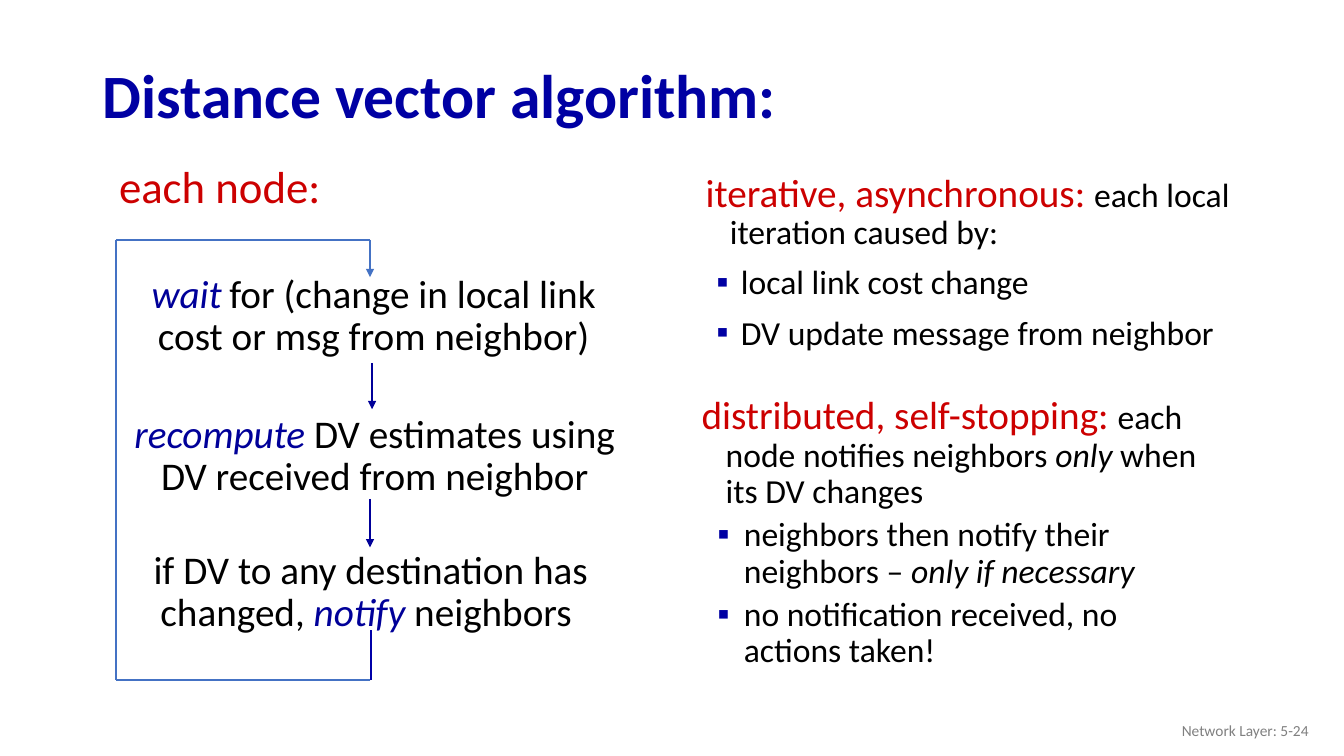
import dataclasses

import lxml.etree
import pptx
import pptx.dml.color
import pptx.enum.shapes
import pptx.enum.text
import pptx.oxml.ns
import pptx.util

PX = 9144  # 100 px to the inch
ALIGN = pptx.enum.text.PP_ALIGN
ANCHOR = pptx.enum.text.MSO_ANCHOR


@dataclasses.dataclass(frozen=True)
class Theme:
    font: str = "Calibri"
    title: str = "0000A3"
    heading: str = "CC0000"
    body: str = "000000"
    keyword: str = "000099"
    bullet: str = "0000A3"
    loop: str = "4472C4"
    loop_exit: str = "0000A8"
    footer: str = "808080"
    title_size: int = 44
    label_size: int = 32
    large_size: int = 28
    body_size: int = 24
    footer_size: int = 11
    line_width: float = 1.5


THEME = Theme()


def px(length):
    return pptx.util.Emu(length * PX)


def rgb(colour):
    return pptx.dml.color.RGBColor.from_string(colour)


def add_child(parent, tag, **attributes):
    child = lxml.etree.SubElement(parent, pptx.oxml.ns.qn(tag))
    for key, value in attributes.items():
        child.set(key, value)
    return child


def add_text_frame(slide, box, anchor=ANCHOR.TOP, wrap=True):
    frame = slide.shapes.add_textbox(*map(px, box)).text_frame
    frame.word_wrap = wrap
    frame.vertical_anchor = anchor
    return frame


def write_runs(paragraph, parts, align=ALIGN.LEFT, spacing=0.9, bold=False):
    """Fill a paragraph from (text, size, colour, italic) parts."""
    paragraph.alignment = align
    paragraph.line_spacing = spacing
    for text, size, colour, italic in parts:
        run = paragraph.add_run()
        run.text = text
        run.font.name = THEME.font
        run.font.size = pptx.util.Pt(size)
        run.font.color.rgb = rgb(colour)
        run.font.italic = italic
        run.font.bold = bold


def set_indent(paragraph, margin, hanging, bullet=False):
    properties = paragraph._p.get_or_add_pPr()
    properties.set("marL", str(margin * PX))
    properties.set("indent", str(-hanging * PX))
    if bullet:
        colour = add_child(properties, "a:buClr")
        add_child(colour, "a:srgbClr", val=THEME.bullet)
        add_child(properties, "a:buFont", typeface=THEME.font)
        add_child(properties, "a:buChar", char="▪")


def add_line(slide, start, end, colour, arrow=False):
    line = slide.shapes.add_connector(
        pptx.enum.shapes.MSO_CONNECTOR.STRAIGHT, *map(px, (*start, *end)))
    line.line.color.rgb = rgb(colour)
    line.line.width = pptx.util.Pt(THEME.line_width)
    if arrow:
        add_child(line.line._get_or_add_ln(), "a:tailEnd", type="triangle")
    add_child(line._element.spPr, "a:effectLst")


def body(text, italic=False):
    return text, THEME.body_size, THEME.body, italic


def heading(text):
    return text, THEME.large_size, THEME.heading, False


def step(text):
    return text, THEME.large_size, THEME.body, False


def keyword(text):
    return text, THEME.large_size, THEME.keyword, True


def add_title(slide, box):
    frame = add_text_frame(slide, box, ANCHOR.MIDDLE)
    write_runs(frame.paragraphs[0],
               [("Distance vector algorithm:", THEME.title_size, THEME.title, False)],
               bold=True)


def add_footer(slide, box):
    frame = add_text_frame(slide, box, ANCHOR.MIDDLE)
    write_runs(frame.paragraphs[0],
               [("Network Layer: 5-24", THEME.footer_size, THEME.footer, False)],
               ALIGN.RIGHT, 1)


def add_node_loop(slide, box):
    """Draw the three steps every node repeats, with the loop around them."""
    left, top, width, height = box
    label = add_text_frame(slide, (left - 8, top, 222, 64), wrap=False)
    write_runs(label.paragraphs[0],
               [("each node:", THEME.label_size, THEME.heading, False)],
               ALIGN.CENTER, 1)

    steps = [
        (3, 119, [keyword("wait"), body(" "),
                  step("for (change in local link cost or msg from neighbor)")]),
        (4, 258, [keyword("recompute"),
                  step(" DV estimates using DV received from neighbor")]),
        (0, 393, [step("if DV to any destination has changed, "),
                  keyword("notify"), step(" neighbors ")]),
    ]
    for shift, offset, parts in steps:
        frame = add_text_frame(slide, (left + shift, top + offset, width, 86))
        frame.margin_top = frame.margin_bottom = 0
        write_runs(frame.paragraphs[0], parts, ALIGN.CENTER)

    centre, loop_top, bottom = left + 252, top + 85, top + height
    for x, start, end in [(centre + 2, 207, 253), (centre, 342, 390)]:
        add_line(slide, (x, top + start), (x, top + end), THEME.keyword, arrow=True)
    add_line(slide, (centre + 1, bottom), (centre + 1, bottom - 50), THEME.loop_exit)
    add_line(slide, (centre, loop_top), (centre, loop_top + 37), THEME.loop, arrow=True)
    for y in (bottom, loop_top):
        add_line(slide, (left, y), (centre, y), THEME.loop)
    add_line(slide, (left, loop_top), (left, bottom), THEME.loop)


def add_property(slide, box, lead, bullets, bullet_margin, bullet_hanging, bullet_gap):
    """Write a lead sentence with a bulleted list below it."""
    frame = add_text_frame(slide, box)
    paragraph = frame.paragraphs[0]
    write_runs(paragraph, lead)
    paragraph.space_before = pptx.util.Pt(10)
    set_indent(paragraph, 39, 24)
    for parts in bullets:
        paragraph = frame.add_paragraph()
        write_runs(paragraph, parts)
        paragraph.space_before = pptx.util.Pt(bullet_gap)
        set_indent(paragraph, bullet_margin, bullet_hanging, bullet=True)


def build_slide(deck):
    slide = deck.slides.add_slide(deck.slide_layouts[6])
    add_title(slide, (92, 49, 1150, 98))
    add_node_loop(slide, (115, 153, 505, 522))
    add_property(
        slide, (675, 167, 591, 216),
        [heading("iterative, asynchronous: "), body("each local iteration caused by:")],
        [[body("local link cost change")], [body("DV update message from neighbor")]],
        50, 24, 10)
    add_property(
        slide, (671, 388, 540, 319),
        [heading("distributed, self-stopping: "), body("each node notifies neighbors "),
         body("only", italic=True), body(" when its DV changes")],
        [[body("neighbors then notify their neighbors – "),
          body("only if necessary", italic=True)],
         [body("no notification received, no actions taken!")]],
        57, 26, 5)
    add_footer(slide, (1008, 705, 300, 40))


def main():
    deck = pptx.Presentation()
    deck.slide_width, deck.slide_height = px(1333), px(750)
    build_slide(deck)
    deck.save("out.pptx")


if __name__ == "__main__":
    main()
